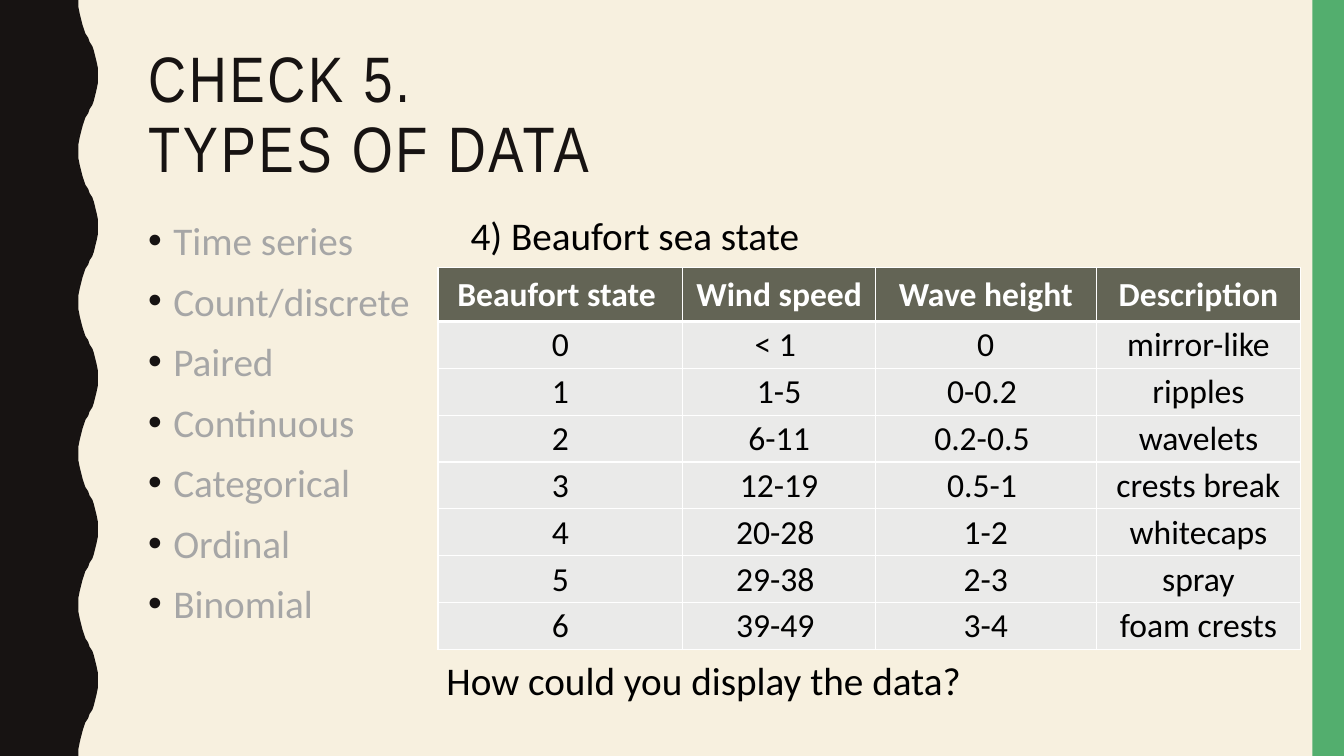
from lxml import etree
from pptx import Presentation
from pptx.dml.color import RGBColor
from pptx.enum.shapes import MSO_SHAPE
from pptx.enum.text import MSO_ANCHOR, MSO_AUTO_SIZE, PP_ALIGN
from pptx.oxml.ns import qn
from pptx.util import Pt

INK, GREEN, CREAM = "171312", "53AE6E", "F7F0DF"
BLACK, WHITE, GREY = "000000", "FFFFFF", "A6A6A6"
HEAD_FILL, CELL_FILL = "636455", "EAEAE9"

WAVE_PERIOD = 108
WAVE_RISE = [(56, 0), (56.2, 5), (57, 10), (57.8, 14.4), (58.7, 18),
             (59.8, 21), (61.2, 24), (63, 27), (64.3, 30), (65.7, 33),
             (67, 36), (68.2, 39.6), (69.2, 44), (69.8, 49), (70, 54)]

DATA_TYPES = ["Time series", "Count/discrete", "Paired", "Continuous",
              "Categorical", "Ordinal", "Binomial"]
SEA_STATES = [
    ("Beaufort state ", "Wind speed", "Wave height", "Description"),
    ("0", "< 1 ", "0", "mirror-like"),
    ("1", "1-5", "0-0.2 ", "ripples"),
    ("2", "6-11", "0.2-0.5 ", "wavelets"),
    ("3", "12-19", "0.5-1 ", "crests break"),
    ("4", "20-28 ", "1-2", "whitecaps"),
    ("5", "29-38 ", "2-3", "spray"),
    ("6", "39-49 ", "3-4", "foam crests"),
]
COL_WIDTHS = [175, 137.5, 157.7, 146.2]


def rgb(color):
    return RGBColor.from_string(color)


def style_runs(p, size, color, font="Calibri", bold=False):
    for r in p.runs:
        r.font.size, r.font.name, r.font.bold = Pt(size), font, bold
        r.font.color.rgb = rgb(color)


def place(sp, left, top, width, height):
    sp.left, sp.top = Pt(left), Pt(top)
    sp.width, sp.height = Pt(width), Pt(height)
    tf = sp.text_frame
    tf.word_wrap, tf.auto_size = True, MSO_AUTO_SIZE.NONE
    tf.vertical_anchor = MSO_ANCHOR.TOP
    return tf


def paint(sp, color):
    sp.fill.solid()
    sp.fill.fore_color.rgb = rgb(color)
    sp.line.fill.background()
    sp.shadow.inherit = False


def add_wave(s, height):
    cycle = WAVE_RISE + [(x, WAVE_PERIOD - y) for x, y in WAVE_RISE[-2:0:-1]]
    edge = [(x, y + top) for top in range(0, height, WAVE_PERIOD) for x, y in cycle]
    edge += [(WAVE_RISE[0][0], height), (0, height)]
    builder = s.shapes.build_freeform(0, 0, scale=Pt(1))
    builder.add_line_segments(edge, close=True)
    paint(builder.convert_to_shape(), INK)


def add_band(s, left, width, height):
    paint(s.shapes.add_shape(MSO_SHAPE.RECTANGLE, Pt(left), 0, Pt(width), Pt(height)), GREEN)


def fill_title(sp, text):
    tf = place(sp, 98.6, 30.2, 801.4, 89.3)
    tf.text = text
    p = tf.paragraphs[0]
    p.alignment, p.line_spacing = PP_ALIGN.LEFT, 0.9
    style_runs(p, 45.9, INK, "Arial Narrow")
    for r in p.runs:
        r.font._element.set("spc", "200")


def add_bullet(p):
    pPr = p._p.get_or_add_pPr()
    pPr.set("marL", str(Pt(18)))
    pPr.set("indent", str(-Pt(18)))
    color = etree.SubElement(pPr, qn("a:buClr"))
    etree.SubElement(color, qn("a:srgbClr"), val=INK)
    etree.SubElement(pPr, qn("a:buFont"), typeface="Arial")
    etree.SubElement(pPr, qn("a:buChar"), char="•")


def fill_list(sp, items):
    tf = place(sp, 98.6, 147.6, 801.4, 315.4)
    tf.text = "\n".join(items)
    for i, p in enumerate(tf.paragraphs):
        add_bullet(p)
        p.line_spacing, p.space_before = 1.1, Pt(6.3 if i else 0)
        style_runs(p, 28, GREY)


def add_text(s, text, left, top, width):
    tf = place(s.shapes.add_textbox(0, 0, 0, 0), left, top, width, 41)
    tf.text = text
    style_runs(tf.paragraphs[0], 28, BLACK)


def add_borders(cell, top, bottom):
    tcPr = cell._tc.get_or_add_tcPr()
    for side, width in (("L", 1), ("R", 1), ("T", top), ("B", bottom)):
        ln = etree.SubElement(tcPr, qn(f"a:ln{side}"), w=str(Pt(width)))
        fill = etree.SubElement(ln, qn("a:solidFill"))
        etree.SubElement(fill, qn("a:srgbClr"), val=WHITE)


def style_cell(cell, text, row):
    head = row == 0
    add_borders(cell, 3 if row == 1 else 1, 3 if head else 1)
    cell.fill.solid()
    cell.fill.fore_color.rgb = rgb(HEAD_FILL if head else CELL_FILL)
    cell.margin_left = cell.margin_right = cell.margin_top = Pt(0.7)
    cell.margin_bottom = 0
    cell.vertical_anchor = MSO_ANCHOR.MIDDLE
    cell.text = text
    p = cell.text_frame.paragraphs[0]
    p.alignment = PP_ALIGN.CENTER
    style_runs(p, 24, WHITE if head else BLACK, bold=head)


def add_grid(s, rows, widths, left, top):
    heights = [38.7] + [33.45] * (len(rows) - 1)
    table = s.shapes.add_table(len(rows), len(widths), Pt(left), Pt(top),
                               Pt(sum(widths)), Pt(sum(heights))).table
    for column, width in zip(table.columns, widths):
        column.width = Pt(width)
    for i, (height, texts) in enumerate(zip(heights, rows)):
        table.rows[i].height = Pt(height)
        for j, text in enumerate(texts):
            style_cell(table.cell(i, j), text, i)


def main():
    prs = Presentation()
    prs.slide_width, prs.slide_height = Pt(960), Pt(540)
    s = prs.slides.add_slide(prs.slide_layouts[1])
    s.background.fill.solid()
    s.background.fill.fore_color.rgb = rgb(CREAM)
    add_wave(s, 540)
    add_band(s, 937.5, 22.5, 540)
    fill_title(s.shapes.title, "CHECK 5.\vTYPES OF DATA")
    fill_list(s.placeholders[1], DATA_TYPES)
    add_text(s, "4) Beaufort sea state", 329, 147.6, 533.5)
    add_text(s, "How could you display the data?", 311.8, 465.1, 511.2)
    add_grid(s, SEA_STATES, COL_WIDTHS, 312.8, 191)
    prs.save("out.pptx")


if __name__ == "__main__":
    main()
